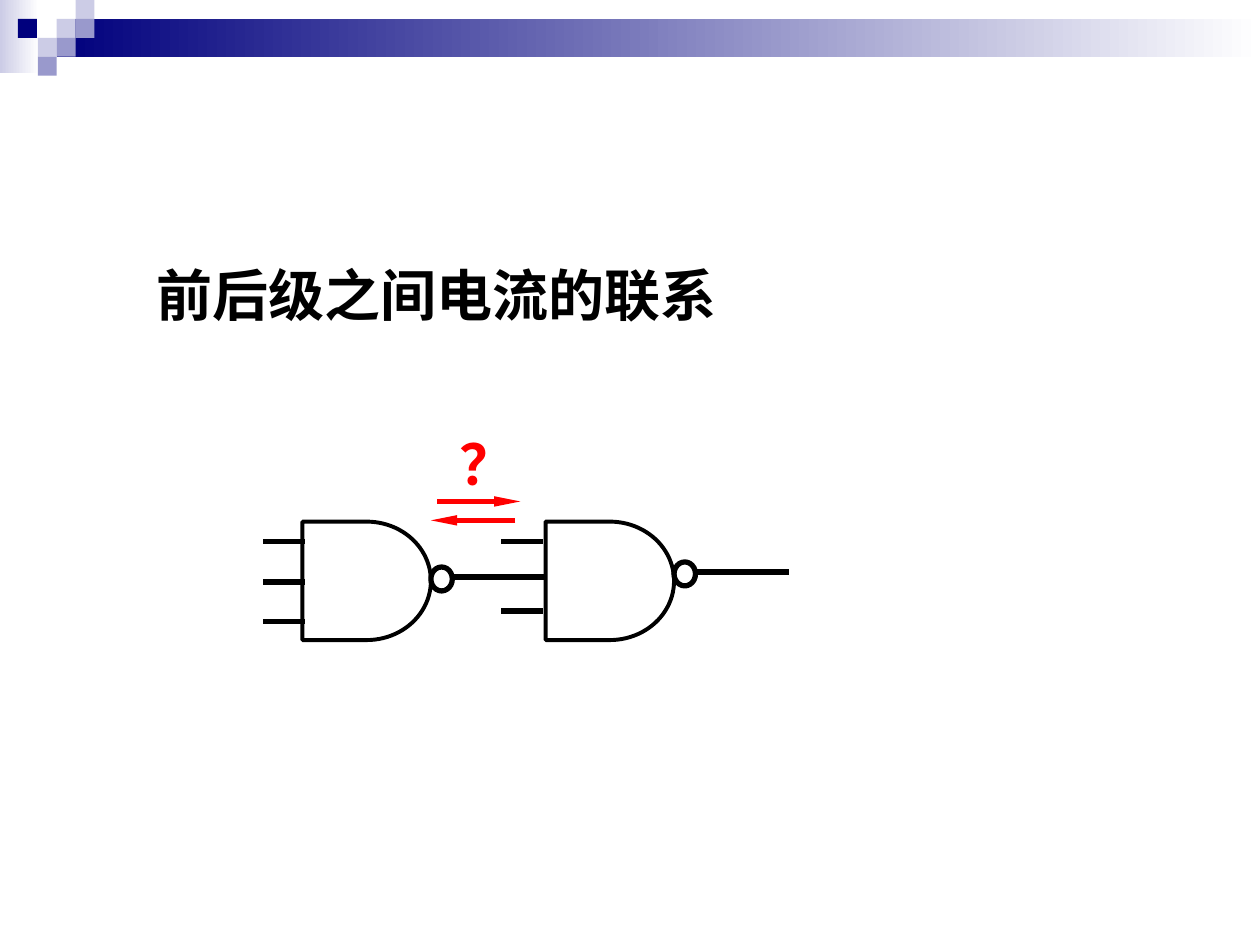
from dataclasses import dataclass

from lxml.etree import SubElement
from pptx import Presentation
from pptx.dml.color import RGBColor
from pptx.enum.shapes import MSO_CONNECTOR, MSO_SHAPE
from pptx.enum.text import MSO_AUTO_SIZE
from pptx.oxml.ns import qn
from pptx.util import Inches, Pt


@dataclass(frozen=True)
class Theme:
    font: str = "Times New Roman"
    text_size: float = 32
    wire: float = 3
    outline: float = 2.25
    black: RGBColor = RGBColor(0x00, 0x00, 0x00)
    white: RGBColor = RGBColor(0xFF, 0xFF, 0xFF)
    red: RGBColor = RGBColor(0xFF, 0x00, 0x00)
    navy: RGBColor = RGBColor(0x00, 0x00, 0x7D)
    violet: RGBColor = RGBColor(0x99, 0x99, 0xCC)
    lilac: RGBColor = RGBColor(0xCC, 0xCC, 0xE6)


class SlideBuilder:
    def __init__(self, page, theme):
        self.page = page
        self.theme = theme

    def shape(self, kind, left, top, width, height):
        shape = self.page.shapes.add_shape(
            kind, Inches(left), Inches(top), Inches(width), Inches(height))
        shape.shadow.inherit = False
        return shape

    def block(self, left, top, width, height, color, fade=False):
        """Borderless rectangle, solid or fading to white on the right."""
        block = self.shape(MSO_SHAPE.RECTANGLE, left, top, width, height)
        block.line.fill.background()
        if fade:
            block.fill.gradient()
            block.fill.gradient_angle = 0
            for stop, shade in zip(block.fill.gradient_stops, (color, self.theme.white)):
                stop.color.rgb = shade
        else:
            block.fill.solid()
            block.fill.fore_color.rgb = color

    def outline(self, kind, left, top, width, height, weight):
        shape = self.shape(kind, left, top, width, height)
        shape.fill.background()
        shape.line.color.rgb = self.theme.black
        shape.line.width = Pt(weight)

    def wire(self, start, end, y, color=None, arrow=False):
        """Horizontal line, with an optional arrowhead at its end."""
        wire = self.page.shapes.add_connector(
            MSO_CONNECTOR.STRAIGHT, Inches(start), Inches(y), Inches(end), Inches(y))
        wire.line.color.rgb = color or self.theme.black
        wire.line.width = Pt(self.theme.wire)
        if arrow:
            SubElement(wire.line._get_or_add_ln(), qn("a:tailEnd"),
                       type="triangle", w="sm", len="lg")
        SubElement(wire._element.spPr, qn("a:effectLst"))

    def text(self, words, left, top, width, height, color):
        box = self.page.shapes.add_textbox(
            Inches(left), Inches(top), Inches(width), Inches(height))
        frame = box.text_frame
        frame.word_wrap = True
        frame.auto_size = MSO_AUTO_SIZE.SHAPE_TO_FIT_TEXT
        para = frame.paragraphs[0]
        para.text = words
        para.font.name = self.theme.font
        para.font.size = Pt(self.theme.text_size)
        para.font.bold = True
        para.font.color.rgb = color

    def nand_gate(self, left, bubble_top, inputs, input_start, input_end):
        """NAND gate with its input wires, output bubble and output wire."""
        top, width, height = 4.14, 1.02, 0.94
        right = left + width
        self.outline(MSO_SHAPE.OVAL, right, bubble_top, 0.17, 0.19, self.theme.wire)
        for y in inputs:
            self.wire(input_start, input_end, y)
        self.wire(right + 0.16, right + 0.91, bubble_top + 0.08)
        self.outline(MSO_SHAPE.FLOWCHART_DELAY, left, top, width, height,
                     self.theme.outline)


def main():
    deck = Presentation()
    deck.slide_width, deck.slide_height = Inches(10), Inches(7.5)
    theme = Theme()
    builder = SlideBuilder(deck.slides.add_slide(deck.slide_layouts[6]), theme)

    # Header band and its mosaic of small squares
    builder.block(0, 0, 0.31, 0.58, theme.lilac, fade=True)
    builder.block(0.45, 0.15, 9.55, 0.3, theme.navy, fade=True)
    side = 0.15
    mosaic = [
        (3, 1, theme.lilac), (4, 0, theme.lilac), (4, 1, theme.violet),
        (2, 2, theme.lilac), (0.95, 1, theme.navy), (3, 2, theme.violet),
        (2, 3, theme.violet),
    ]
    for column, row, color in mosaic:
        builder.block(column * side, row * side, side, side, color)

    # Heading
    builder.text("前后级之间电流的联系", 1.14, 2.02, 5.63, 0.64, theme.black)

    # Current in either direction between the stages
    builder.wire(3.47, 4.13, 3.98, theme.red, arrow=True)
    builder.text("？", 3.55, 3.36, 0.88, 0.64, theme.red)
    builder.wire(4.09, 3.42, 4.13, theme.red, arrow=True)

    # Driving gate and load gate
    builder.nand_gate(2.4, 4.5, (4.3, 4.62, 4.93), 2.09, 2.42)
    builder.nand_gate(4.33, 4.46, (4.3, 4.85), 3.98, 4.31)

    deck.save("out.pptx")


if __name__ == "__main__":
    main()
